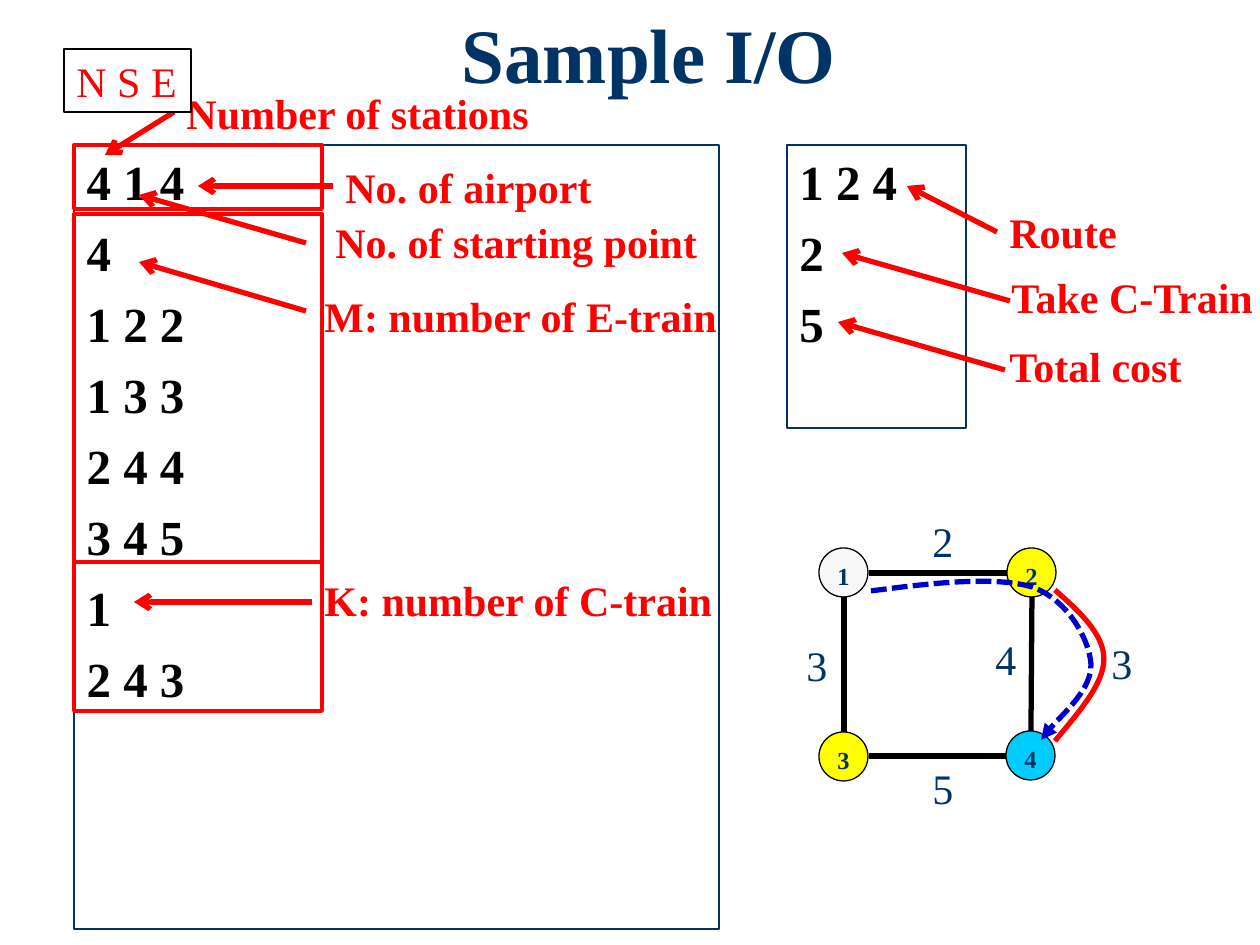
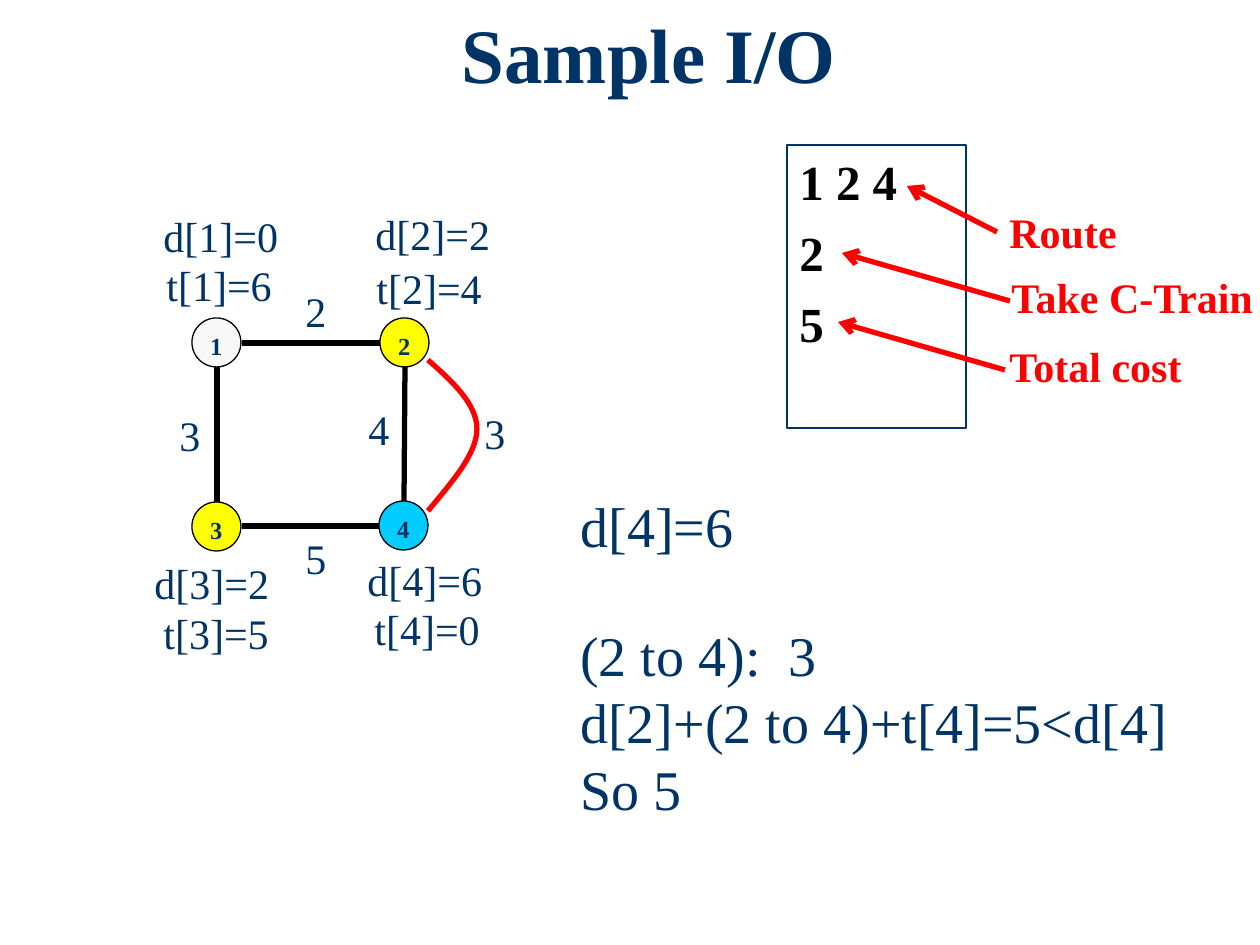
from lxml import etree
from pptx import Presentation, util as u
from pptx.dml.color import RGBColor
from pptx.enum import dml, shapes, text
from pptx.oxml.ns import qn

PX = 914400 / 126
COLORS = {"navy": "003366", "red": "FF0000", "black": "000000", "white": "FFFFFF",
          "gray": "F8F8F8", "yellow": "FFFF00", "cyan": "00CCFF", "blue": "0000CC"}
FONT = "Times New Roman"
TITLE = {"size": 44, "bold": True, "color": "navy"}
DATA = {"size": 28, "bold": True, "color": "black"}
NOTE = {"size": 24, "bold": True, "color": "red"}
LABEL = {"size": 24, "bold": False, "color": "navy"}
FORMAT_NAME = {"size": 24, "bold": False, "color": "red"}
WORKING = {"size": 32, "bold": False, "color": "navy"}
NODE = {"size": 14, "bold": True, "color": "navy"}
LEFT, CENTER = text.PP_ALIGN.LEFT, text.PP_ALIGN.CENTER
TOP = text.MSO_ANCHOR.TOP


def px(n):
    return u.Emu(round(n * PX))


def rgb(name):
    return RGBColor.from_string(COLORS[name])


def set_all(obj, values):
    for name, value in values.items():
        setattr(obj, name, value)


def place(sp, x, y, w, h):
    set_all(sp, {"left": px(x), "top": px(y), "width": px(w), "height": px(h)})


def write(sp, lines, style, align=LEFT, gap=0, wrap=True, grow=False, spacing=None):
    tf = sp.text_frame
    fit = text.MSO_AUTO_SIZE.SHAPE_TO_FIT_TEXT if grow else text.MSO_AUTO_SIZE.NONE
    set_all(tf, {"word_wrap": wrap, "auto_size": fit, "vertical_anchor": TOP})
    for i, line in enumerate(lines):
        p = tf.paragraphs[0] if i == 0 else tf.add_paragraph()
        set_all(p, {"alignment": align, "space_before": u.Pt(gap if i else 0),
                    "line_spacing": spacing})
        r = p.add_run()
        r.text = line
        set_all(r.font, {"name": FONT, "size": u.Pt(style["size"]), "bold": style["bold"]})
        r.font.color.rgb = rgb(style["color"])


def paint(sp, fill, line, width):
    if fill:
        sp.fill.solid()
        sp.fill.fore_color.rgb = rgb(fill)
    else:
        sp.fill.background()
    sp.line.color.rgb = rgb(line)
    sp.line.width = u.Pt(width)


def add_shape(s, kind, box, fill, line, width):
    sp = s.shapes.add_shape(kind, *map(px, box))
    sp.shadow.inherit = False
    paint(sp, fill, line, width)
    return sp


def add_rect(s, box, fill, line, width):
    return add_shape(s, shapes.MSO_SHAPE.RECTANGLE, box, fill, line, width)


def add_label(s, x, y, w, lines, style, h=63):
    sp = s.shapes.add_textbox(px(x), px(y), px(w), px(h))
    write(sp, lines, style, wrap=False, grow=True)


def add_tail(sp, kind):
    etree.SubElement(sp.line._get_or_add_ln(), qn("a:tailEnd"), type=kind)


def add_line(s, x1, y1, x2, y2, color="black", tail=None):
    c = s.shapes.add_connector(shapes.MSO_CONNECTOR.STRAIGHT, *map(px, (x1, y1, x2, y2)))
    c.line.color.rgb = rgb(color)
    c.line.width = u.Pt(3)
    if tail:
        add_tail(c, tail)
    etree.SubElement(c._element.spPr, qn("a:effectLst"))


def add_curve(s, points, color):
    fb = s.shapes.build_freeform(*points[0], scale=PX)
    fb.add_line_segments(points[1:], close=False)
    sp = fb.convert_to_shape()
    sp.shadow.inherit = False
    paint(sp, None, color, 3)
    segments = list(sp._element.iter(qn("a:lnTo")))
    for i in range(0, len(segments), 3):
        bezier = etree.Element(qn("a:cubicBezTo"))
        segments[i].addprevious(bezier)
        for segment in segments[i:i + 3]:
            bezier.append(segment[0])
            segment.getparent().remove(segment)
    return sp


def add_slide(prs, layout):
    s = prs.slides.add_slide(prs.slide_layouts[layout])
    place(s.shapes.title, 145, 11, 1008, 116)
    write(s.shapes.title, ["Sample I/O"], TITLE, align=CENTER, spacing=0.9)
    return s


def add_input(s):
    sp = s.placeholders[1]
    place(sp, 74, 145, 645, 784)
    paint(sp, "white", "navy", 1)
    write(sp, ["4 1 4", "4", "1 2 2", "1 3 3", "2 4 4", "3 4 5", "1", "2 4 3"], DATA, gap=7)
    for p in sp.text_frame.paragraphs:
        pPr = p._p.get_or_add_pPr()
        pPr.set("marL", "0")
        pPr.set("indent", "0")
        etree.SubElement(pPr, qn("a:buNone"))


def add_input_notes(s):
    for y, h in ((145, 64), (214, 348), (562, 149)):
        add_rect(s, (74, y, 248, h), None, "red", 2.25)
    for x, y, w, line in ((174, 81, 372, "Number of stations"),
                          (323, 210, 391, "No. of starting point"),
                          (333, 155, 273, "No. of airport"),
                          (312, 284, 422, "M: number of E-train"),
                          (312, 568, 422, "K: number of C-train")):
        add_label(s, x, y, w, [line], NOTE)
    for ends in ((174, 112, 105, 155), (306, 243, 139, 195), (333, 186, 198, 186),
                 (306, 311, 139, 262), (312, 602, 134, 602)):
        add_line(s, *ends, "red", "arrow")
    sp = add_rect(s, (64, 49, 127, 63), "white", "black", 0.75)
    write(sp, ["N S E"], FORMAT_NAME, wrap=False, grow=True)


def add_output(s):
    sp = add_rect(s, (787, 145, 179, 283), "white", "navy", 0.75)
    write(sp, ["1 2 4", "2", "5"], DATA, gap=7)


def add_output_notes(s):
    for x, y, w, line, ends in ((997, 200, 134, "Route", (997, 232, 907, 186)),
                                (999, 265, 270, "Take C-Train", (1010, 301, 842, 253)),
                                (997, 334, 199, "Total cost", (1005, 370, 838, 322))):
        add_line(s, *ends, "red", "arrow")
        add_label(s, x, y, w, [line], NOTE)


def add_graph(s, x, y):
    for name, dx, dy, fill in (("1", 0, 0, "gray"), ("2", 188, 0, "yellow"),
                               ("3", 0, 184, "yellow"), ("4", 187, 183, "cyan")):
        sp = add_shape(s, shapes.MSO_SHAPE.OVAL, (x + dx, y + dy, 49, 49), fill, "black", 0.75)
        write(sp, [name], NODE, align=CENTER, wrap=False)
    for x1, y1, x2, y2 in ((50, 25, 188, 25), (25, 49, 25, 184),
                           (213, 49, 212, 183), (50, 208, 187, 208)):
        add_line(s, x + x1, y + y1, x + x2, y + y2)
    bend = ((236, 193), (260, 164), (285, 136), (285, 111), (285, 86), (260, 63), (236, 42))
    add_curve(s, [(x + dx, y + dy) for dx, dy in bend], "red")
    for cost, dx, dy in (("2", 101, -39), ("3", -25, 85), ("4", 164, 79),
                         ("5", 101, 208), ("3", 280, 83)):
        add_label(s, x + dx, y + dy, 47, [cost], LABEL)


def add_route(s):
    sp = add_curve(s, [(871, 591), (932, 583), (994, 576), (1032, 587), (1068, 600),
                       (1089, 639), (1091, 664), (1092, 689), (1048, 728), (1041, 740)], "blue")
    sp.line.dash_style = dml.MSO_LINE.SQUARE_DOT
    add_tail(sp, "triangle")


def add_distances(s):
    for x, y, line in ((151, 204, "d[1]=0"), (154, 253, "t[1]=6"),
                       (363, 202, "d[2]=2"), (364, 256, "t[2]=4"),
                       (142, 551, "d[3]=2"), (151, 601, "t[3]=5"),
                       (355, 548, "d[4]=6"), (362, 597, "t[4]=0")):
        add_label(s, x, y, 141 if line.startswith("d") else 132, [line], LABEL)
    add_label(s, 568, 485, 180, ["d[4]=6"], WORKING, h=81)
    add_label(s, 568, 614, 617, ["(2 to 4):\u00a0 3", "d[2]+(2 to 4)+t[4]=5<d[4]", "So 5"],
              WORKING, h=217)


def main():
    prs = Presentation()
    set_all(prs, {"slide_width": px(1260), "slide_height": px(945)})

    s = add_slide(prs, 1)
    add_input(s)
    add_output(s)
    add_input_notes(s)
    add_graph(s, 819, 548)
    add_route(s)
    add_output_notes(s)

    s = add_slide(prs, 5)
    add_output(s)
    add_graph(s, 192, 318)
    add_output_notes(s)
    add_distances(s)

    prs.save("out.pptx")


main()
